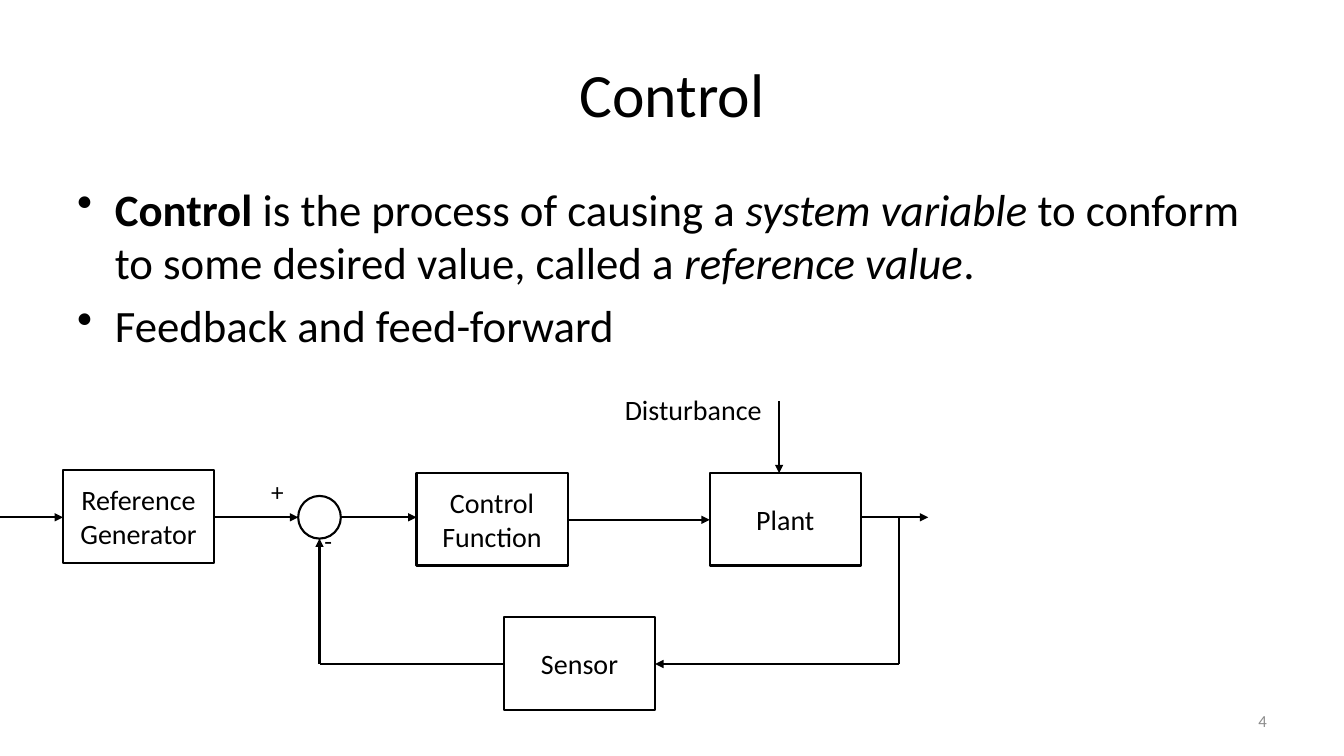
from pptx import Presentation
from pptx.dml.color import RGBColor
from pptx.enum.shapes import MSO_CONNECTOR, MSO_SHAPE
from pptx.enum.text import MSO_ANCHOR, PP_ALIGN
from pptx.oxml.ns import qn
from pptx.util import Pt
from lxml import etree

BLACK = RGBColor(0x00, 0x00, 0x00)
GRAY = RGBColor(0x8C, 0x8C, 0x8C)
WHITE = RGBColor(0xFF, 0xFF, 0xFF)
LEFT, CENTER, RIGHT = PP_ALIGN.LEFT, PP_ALIGN.CENTER, PP_ALIGN.RIGHT
TOP, MIDDLE = MSO_ANCHOR.TOP, MSO_ANCHOR.MIDDLE
STRAIGHT = MSO_CONNECTOR.STRAIGHT
RECTANGLE, OVAL = MSO_SHAPE.RECTANGLE, MSO_SHAPE.OVAL


def write_text(paragraph, text, size=20, color=BLACK, font="Calibri", bold=False, italic=False):
    run = paragraph.add_run()
    run.text = text
    run.font.name = font
    run.font.size = Pt(size)
    run.font.color.rgb = color
    run.font.bold = bold
    run.font.italic = italic


class DiagramSlide:
    """Draws text, blocks and signal lines in one style."""

    line_width = 1.5
    block_size = (108, 66)
    bullet_indent = 27

    def __init__(self, slide):
        self.slide = slide
        slide.background.fill.solid()
        slide.background.fill.fore_color.rgb = WHITE

    def text(self, left, top, width, height, text, align=LEFT, anchor=TOP, wrap=False, **style):
        box = self.slide.shapes.add_textbox(Pt(left), Pt(top), Pt(width), Pt(height))
        frame = box.text_frame
        frame.word_wrap = wrap
        frame.vertical_anchor = anchor
        paragraph = frame.paragraphs[0]
        paragraph.alignment = align
        write_text(paragraph, text, **style)

    def bullets(self, left, top, width, height, items, size):
        """Each item is a list of (text, style) pairs."""
        box = self.slide.shapes.add_textbox(Pt(left), Pt(top), Pt(width), Pt(height))
        frame = box.text_frame
        frame.word_wrap = True
        for index, item in enumerate(items):
            paragraph = frame.add_paragraph() if index else frame.paragraphs[0]
            properties = paragraph._p.get_or_add_pPr()
            properties.set("marL", str(Pt(self.bullet_indent)))
            properties.set("indent", str(-Pt(self.bullet_indent)))
            etree.SubElement(properties, qn("a:buChar"), char="•")
            if index:
                paragraph.space_before = Pt(size * 0.2)
            for text, style in item:
                write_text(paragraph, text, size=size, **style)

    def outline(self, kind, left, top, width, height):
        shape = self.slide.shapes.add_shape(kind, Pt(left), Pt(top), Pt(width), Pt(height))
        shape.shadow.inherit = False
        shape.fill.background()
        shape.line.color.rgb = BLACK
        shape.line.width = Pt(self.line_width)
        return shape

    def block(self, left, top, *lines):
        frame = self.outline(RECTANGLE, left, top, *self.block_size).text_frame
        frame.word_wrap = False
        frame.vertical_anchor = MIDDLE
        for index, line in enumerate(lines):
            paragraph = frame.add_paragraph() if index else frame.paragraphs[0]
            paragraph.alignment = CENTER
            write_text(paragraph, line)

    def signal(self, x1, y1, x2, y2, arrow=True):
        connector = self.slide.shapes.add_connector(STRAIGHT, Pt(x1), Pt(y1), Pt(x2), Pt(y2))
        connector.line.color.rgb = BLACK
        connector.line.width = Pt(self.line_width)
        if arrow:
            etree.SubElement(connector.line._get_or_add_ln(), qn("a:tailEnd"), type="triangle")
        etree.SubElement(connector._element.spPr, qn("a:effectLst"))


def main():
    presentation = Presentation()
    presentation.slide_width, presentation.slide_height = Pt(960), Pt(540)
    diagram = DiagramSlide(presentation.slides.add_slide(presentation.slide_layouts[6]))

    # Title, bullets and slide number
    diagram.text(48, 21.6, 864, 90, "Control", size=44, align=CENTER, anchor=MIDDLE, wrap=True)
    diagram.bullets(48, 126, 864, 356, [
        [("Control", {"bold": True}),
         (" is the process of causing a ", {}),
         ("system variable", {"italic": True}),
         (" to conform to some desired value, called a ", {}),
         ("reference value", {"italic": True}),
         (".", {})],
        [("Feedback and feed-forward", {})],
    ], size=32)
    diagram.text(688, 500.5, 224, 28.8, "4", size=12, color=GRAY,
                 align=RIGHT, anchor=MIDDLE, wrap=True)

    # Blocks and summing junction
    block_width = diagram.block_size[0]
    reference, control, plant, sensor = 45, 297.5, 507, 360
    block_top = 338
    junction, junction_size = 213, 30.5
    forward_y, feedback_y = 369.5, 474.3
    junction_middle = junction + junction_size / 2
    junction_bottom = forward_y + junction_size / 2
    diagram.block(reference, 336, "Reference", "Generator")
    diagram.block(control, block_top, "Control", "Function")
    diagram.block(plant, block_top, "Plant")
    diagram.block(sensor, 441, "Sensor")
    diagram.outline(OVAL, junction, forward_y - junction_size / 2, junction_size, junction_size)

    # Forward path
    diagram.signal(0, forward_y, reference, forward_y)
    diagram.signal(reference + block_width, forward_y, junction, forward_y)
    diagram.signal(junction + junction_size, forward_y, control, forward_y)
    diagram.signal(control + block_width, 371.3, plant, 371.3)
    diagram.signal(plant + block_width, forward_y, 663, forward_y)

    # Feedback path
    return_x = 642.3
    diagram.signal(return_x, feedback_y, return_x, forward_y, arrow=False)
    diagram.signal(return_x, feedback_y, sensor + block_width, feedback_y)
    diagram.signal(junction_middle, feedback_y, sensor, feedback_y, arrow=False)
    diagram.signal(junction_middle, feedback_y, junction_middle, junction_bottom)

    # Disturbance and signs
    diagram.signal(556.5, 286.5, 556.5, block_top)
    diagram.text(439.2, 276.5, 113, 31.5, "Disturbance")
    diagram.text(186.5, 337, 24, 29, "+", size=18)
    diagram.text(224.6, 371.5, 20, 29, "-", size=18)

    presentation.save("out.pptx")


if __name__ == "__main__":
    main()
